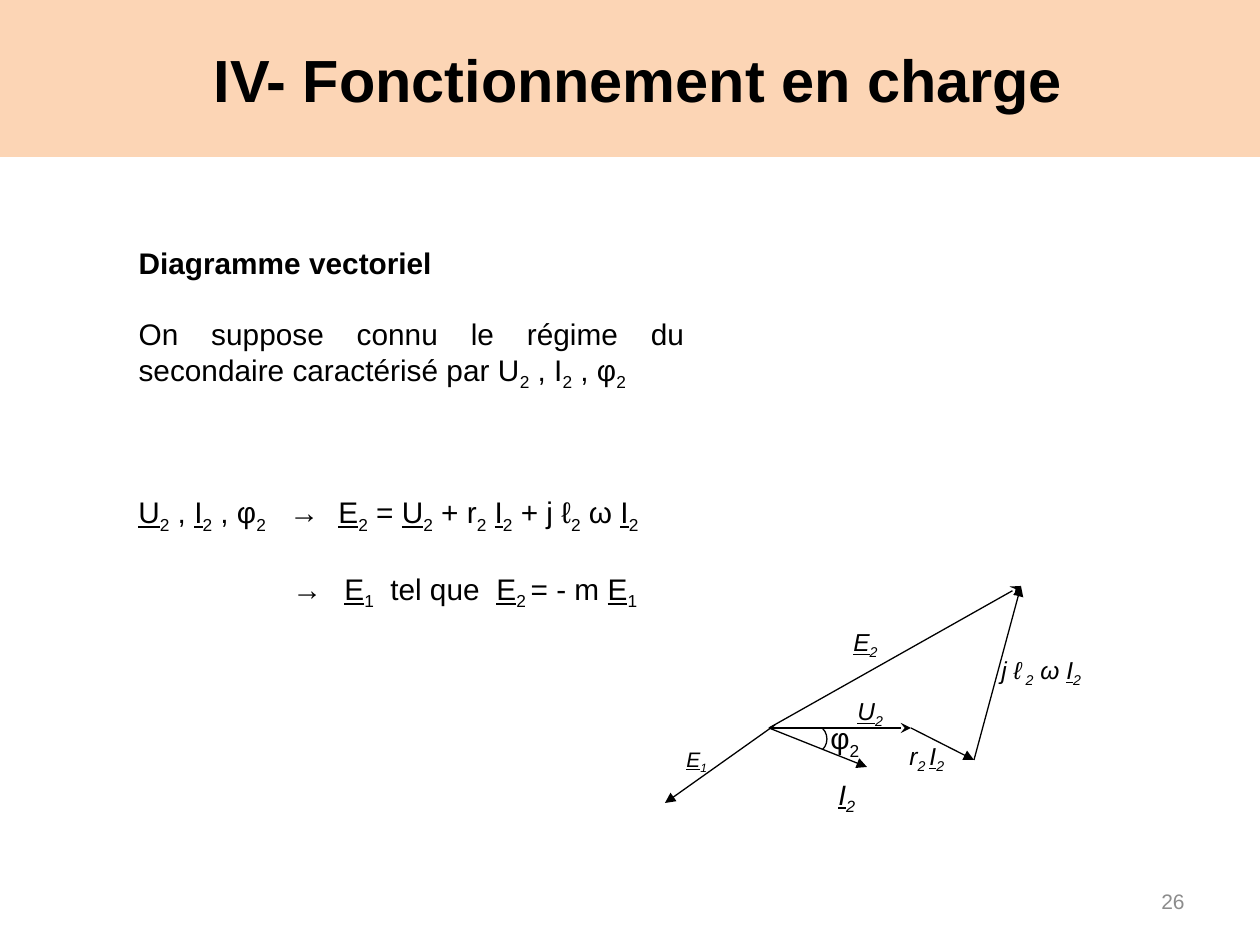
"""Build the slide on the vector diagram of a loaded transformer."""
from lxml import etree
from pptx import Presentation
from pptx import util as u
from pptx.dml.color import RGBColor
from pptx.enum import shapes, text
from pptx.oxml import ns

PX = 914400 // 126
BLACK = "000000"
BLANK_LINE = 20.5


def color(value):
    return RGBColor.from_string(value)


def write(para, marked, size, ink=BLACK, **formats):
    """Add runs split at |, where _ marks an underlined run and ^ a subscript."""
    for part in marked.split("|"):
        span = para.add_run()
        span.text = part.lstrip("_^")
        values = {"name": "Arial", "size": u.Pt(size), "bold": False, **formats}
        if part.startswith("_"):
            values["underline"] = True
        for name, value in values.items():
            setattr(span.font, name, value)
        span.font.color.rgb = color(ink)
        if part.startswith("^"):
            span.font._element.set("baseline", "-25000")


deck = Presentation()
deck.slide_width, deck.slide_height = u.Inches(10), u.Inches(7.5)
page = deck.slides.add_slide(deck.slide_layouts[1])
title, body = page.placeholders

frames = [(title, (0, 0, 1260, 157)), (body, (126, 238, 571, 180))]
for box, bounds in frames:
    for name, value in zip(("left", "top", "width", "height"), bounds):
        setattr(box, name, value * PX)
    box.text_frame.auto_size = text.MSO_AUTO_SIZE.NONE

title.fill.solid()
title.fill.fore_color.rgb = color("FCD5B5")
title.text_frame.vertical_anchor = text.MSO_ANCHOR.MIDDLE
title.text_frame.margin_left = 29 * PX
heading = title.text_frame.paragraphs[0]
heading.alignment = text.PP_ALIGN.CENTER
write(heading, "IV- Fonctionnement en charge", 34, bold=True)

statements = [
    ("Diagramme vectoriel", True),
    ("On suppose connu le régime du secondaire caractérisé par U|^2| , I|^2| , φ|^2", False),
]
for index, (marked, bold) in enumerate(statements):
    para = body.text_frame.paragraphs[0] if index == 0 else body.text_frame.add_paragraph()
    write(para, marked, 17, bold=bold)
    props = para._p.get_or_add_pPr()
    props.set("marL", "0")
    props.set("indent", "0")
    etree.SubElement(props, ns.qn("a:buNone"))
    para.alignment = text.PP_ALIGN.JUSTIFY
    para.space_before = u.Pt(index * BLANK_LINE)

equations = [
    ("_U|^2| , |_I|^2| , φ|^2|\t→\t|_E|^2| = |_U|^2| + r|^2| |_I|^2| + j ℓ|^2| ω |_I|^2",
     [151, 200]),
    ("\t→\t|_E|^1|\ttel que\t|_E|^2 |= - m |_E|^1", [154, 206, 252, 358]),
]
system = page.shapes.add_textbox(*(value * PX for value in (126, 488, 571, 140)))
system.text_frame.word_wrap = True
for index, (marked, stops) in enumerate(equations):
    para = system.text_frame.paragraphs[0] if index == 0 else system.text_frame.add_paragraph()
    write(para, marked, 17)
    tabs = etree.SubElement(para._p.get_or_add_pPr(), ns.qn("a:tabLst"))
    for stop in stops:
        etree.SubElement(tabs, ns.qn("a:tab"), pos=str(stop * PX), algn="l")
    para.space_before = u.Pt(index * BLANK_LINE)

origin, u2_tip, drop_tip, e2_tip = (769, 728), (911, 728), (974, 760), (1021, 586)
vectors = [
    (origin, u2_tip, "stealth"),
    (origin, e2_tip, "stealth"),
    (u2_tip, drop_tip, "triangle"),
    (drop_tip, e2_tip, "triangle"),
    (origin, (867, 767), "triangle"),
    ((775, 725), (665, 803), "triangle"),
]
for start, end, head in vectors:
    vector = page.shapes.add_connector(
        shapes.MSO_CONNECTOR.STRAIGHT, *(value * PX for value in start + end))
    vector.line.color.rgb = color(BLACK)
    vector.line.width = u.Pt(0.75)
    etree.SubElement(vector.line._get_or_add_ln(), ns.qn("a:tailEnd"), type=head)
    etree.SubElement(vector._element.spPr, ns.qn("a:effectLst"))

angle = page.shapes.add_shape(
    shapes.MSO_SHAPE.ARC, *(value * PX for value in (797, 724, 30, 30)))
angle.adjustments[0], angle.adjustments[1] = 314 * 0.6, 46 * 0.6
angle.shadow.inherit = False
angle.fill.background()
angle.line.color.rgb = color(BLACK)
angle.line.width = u.Pt(0.75)

labels = [
    ("_E|^2", (841, 621, 57, 47), 14, True),
    ("j ℓ|^ 2| ω |_I|^2", (989, 649, 115, 63), 14, True),
    ("_I|^2", (826, 771, 47, 39), 16, True),
    ("_U|^2", (845, 690, 63, 47), 14, True),
    ("r|^2 |_I|^2", (897, 735, 89, 47), 14, True),
    ("φ|^2", (818, 714, 62, 49), 17, False),
    ("_E|^1", (674, 740, 48, 32), 12, True),
]
for marked, bounds, size, italic in labels:
    box = page.shapes.add_textbox(*(value * PX for value in bounds))
    box.text_frame.word_wrap = italic
    write(box.text_frame.paragraphs[0], marked, size, italic=italic)

number = page.shapes.add_textbox(*(value * PX for value in (903, 876, 294, 50)))
number.text_frame.word_wrap = True
number.text_frame.vertical_anchor = text.MSO_ANCHOR.MIDDLE
number.text_frame.paragraphs[0].alignment = text.PP_ALIGN.RIGHT
write(number.text_frame.paragraphs[0], "26", 12, "8C8C8C")

deck.save("out.pptx")
